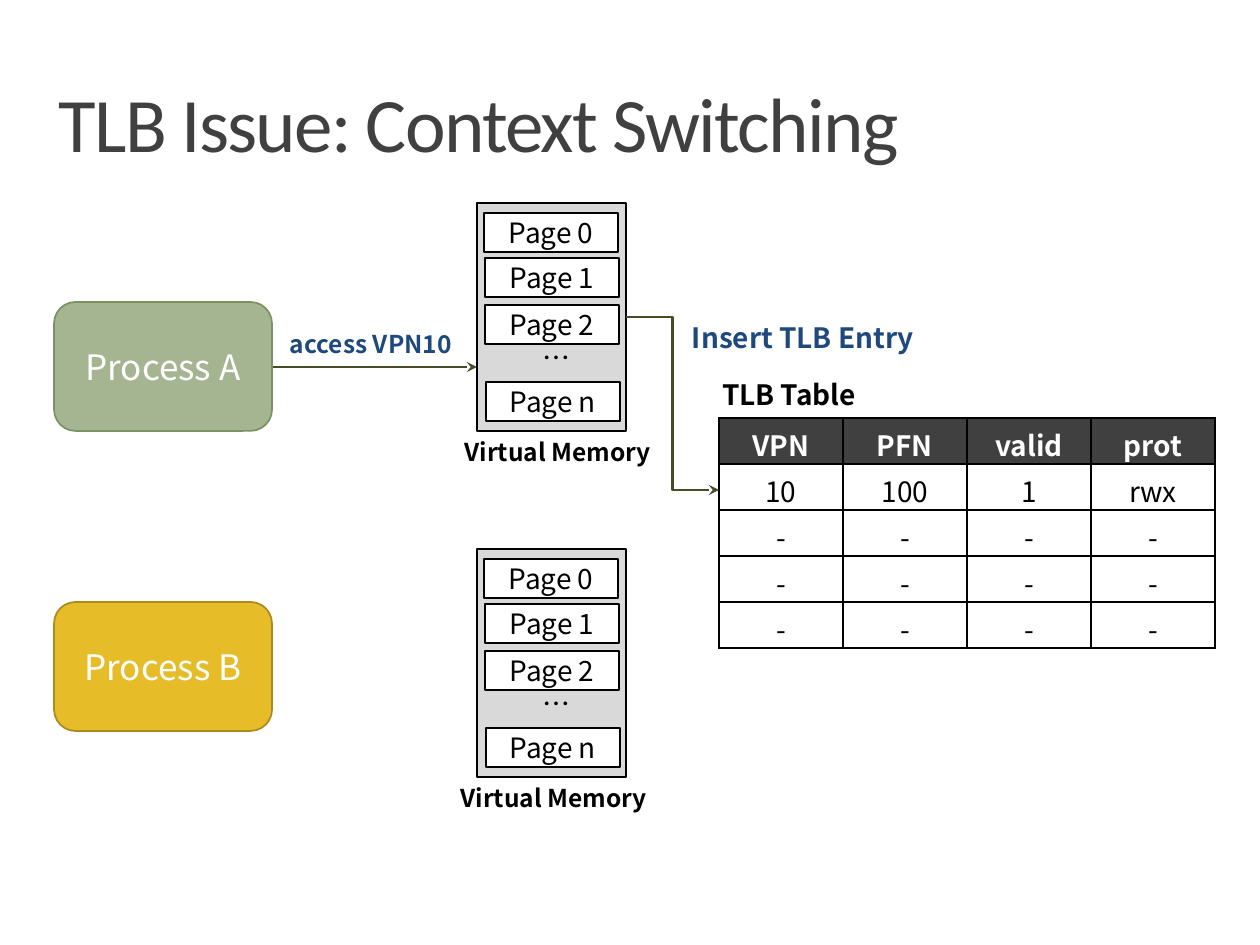
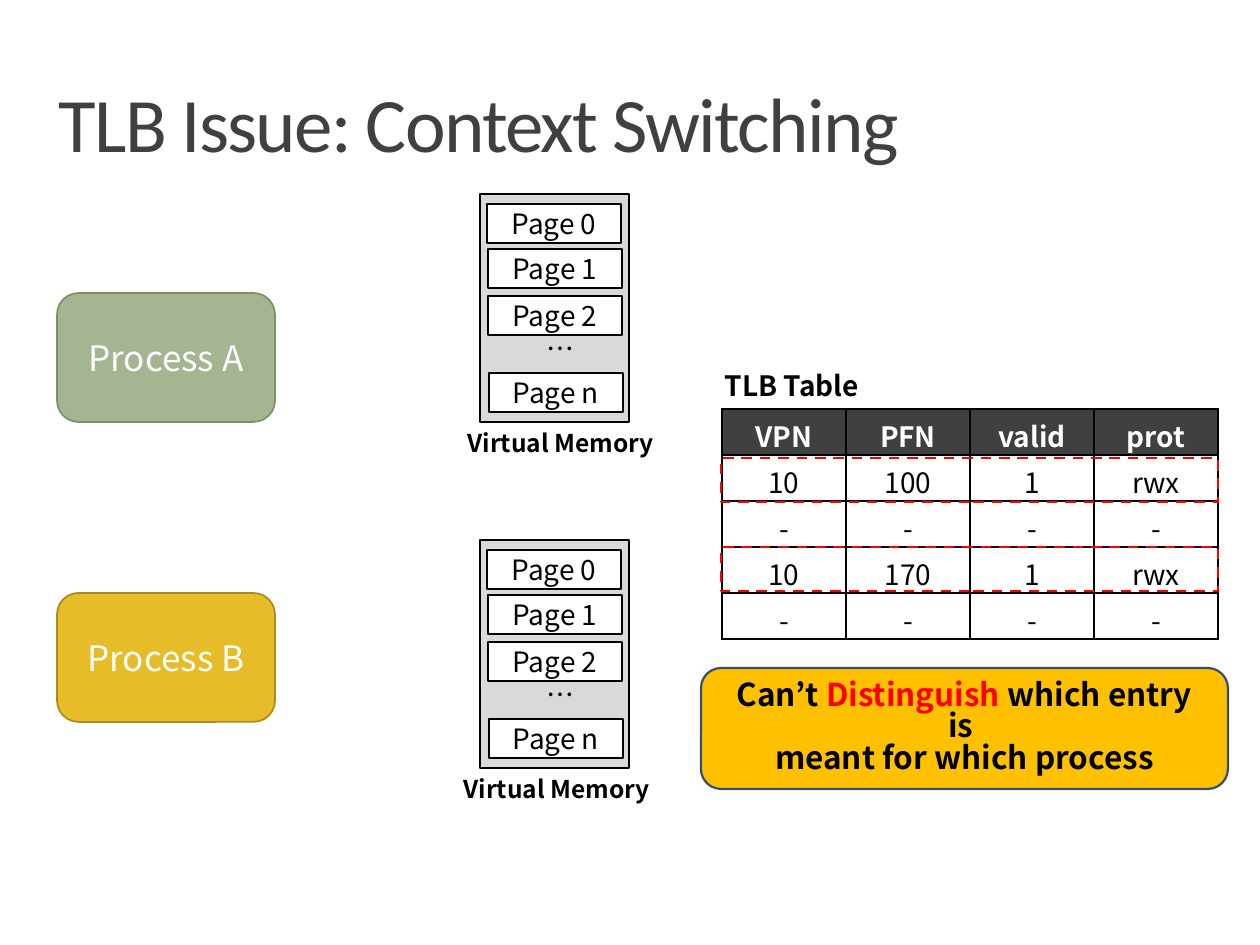
from lxml import etree
from pptx import Presentation
from pptx.dml.color import RGBColor
from pptx.enum.dml import MSO_LINE
from pptx.enum.shapes import MSO_CONNECTOR, MSO_SHAPE
from pptx.enum.text import MSO_ANCHOR, PP_ALIGN
from pptx.oxml.ns import qn
from pptx.util import Emu, Pt

RECT, ROUND = MSO_SHAPE.RECTANGLE, MSO_SHAPE.ROUNDED_RECTANGLE
STRAIGHT, ELBOW = MSO_CONNECTOR.STRAIGHT, MSO_CONNECTOR.ELBOW
LEFT, CENTER = PP_ALIGN.LEFT, PP_ALIGN.CENTER
TOP, MIDDLE = MSO_ANCHOR.TOP, MSO_ANCHOR.MIDDLE
DASH = MSO_LINE.DASH

SCALE = 914400 / 126
BODY, HEADING = "Noto Sans CJK KR", "Calibri"
BLACK, WHITE, DARK, GRAY = "000000", "FFFFFF", "404040", "D9D9D9"
GREEN, YELLOW, ORANGE = "A5B592", "E7BC29", "FFC000"
BLUE, RED, OLIVE = "1F497D", "FF0000", "444D26"
INSETS = (13, 6, 13, 6)


def px(n):
    return Emu(round(n * SCALE))


def rgb(color):
    return RGBColor.from_string(color)


class Deck:
    def __init__(self):
        self.prs = Presentation()
        self.prs.slide_width, self.prs.slide_height = px(1260), px(945)
        self.dx = self.dy = 0

    def new_slide(self, dx=0, dy=0):
        """Start a slide whose diagram is shifted by dx, dy."""
        self.s = self.prs.slides.add_slide(self.prs.slide_layouts[6])
        self.dx, self.dy = dx, dy

    def at(self, x, y):
        return px(x + self.dx), px(y + self.dy)

    def style(self, r, size, color, bold=False, font=BODY):
        r.font.size, r.font.bold, r.font.name = Pt(size), bold, font
        r.font.color.rgb = rgb(color)
        latin = r._r.get_or_add_rPr().find(qn("a:latin"))
        latin.addnext(etree.Element(qn("a:ea"), typeface=font))

    def set_text(self, sp, text, size, color=BLACK, bold=False, align=CENTER,
                 anchor=MIDDLE, insets=INSETS, font=BODY):
        tf = sp.text_frame
        tf.text = text
        tf.word_wrap, tf.vertical_anchor = True, anchor
        (tf.margin_left, tf.margin_top,
         tf.margin_right, tf.margin_bottom) = map(px, insets)
        for p in tf.paragraphs:
            p.alignment = align
            for r in p.runs:
                self.style(r, size, color, bold, font)
        return tf

    def title(self, text):
        sp = self.s.shapes.add_textbox(px(59), px(88), px(1142), px(100))
        tf = self.set_text(sp, text, 44, DARK, align=LEFT, anchor=TOP,
                           insets=(0, 5, 0, 0), font=HEADING)
        p = tf.paragraphs[0]
        p.line_spacing = 0.8
        p.runs[0]._r.get_or_add_rPr().set("spc", "-100")

    def box(self, x, y, w, h, fill=None, line=BLACK, weight=1, kind=RECT):
        sp = self.s.shapes.add_shape(kind, *self.at(x, y), px(w), px(h))
        sp.shadow.inherit = False
        if fill:
            sp.fill.solid()
            sp.fill.fore_color.rgb = rgb(fill)
        else:
            sp.fill.background()
        sp.line.color.rgb = rgb(line)
        sp.line.width = Pt(weight)
        return sp

    def label(self, x, y, w, text, size=16, color=BLACK, bold=True, align=LEFT):
        sp = self.s.shapes.add_textbox(*self.at(x, y), px(w), px(46))
        self.set_text(sp, text, size, color, bold, align, TOP)

    def arrow(self, x1, y1, x2, y2, kind=STRAIGHT):
        sp = self.s.shapes.add_connector(kind, *self.at(x1, y1), *self.at(x2, y2))
        sp.line.color.rgb = rgb(OLIVE)
        sp.line.width = Pt(1.25)
        spPr = sp._element.spPr
        etree.SubElement(spPr.find(qn("a:ln")), qn("a:tailEnd"), type="stealth")
        etree.SubElement(spPr, qn("a:effectLst"))

    def process(self, y, name, fill, line):
        sp = self.box(54, y, 218, 129, fill, line, kind=ROUND)
        self.set_text(sp, name, 20, WHITE)

    def memory(self, y, label_x):
        self.box(477, y, 149, 228, GRAY)
        pages = (("0", 484, 10), ("1", 485, 55), ("2", 485, 102), ("n", 486, 179))
        for number, x, offset in pages:
            sp = self.box(x, y + offset, 134, 39, WHITE)
            self.set_text(sp, "Page " + number, 16, insets=(0, 6, 0, 6))
        self.label(530, y + 132, 146, "…", bold=False)
        self.label(label_x, y + 228, 242, "Virtual Memory", 14, align=CENTER)

    def border(self, cell):
        tcPr = cell._tc.get_or_add_tcPr()
        for side in ("lnL", "lnR", "lnT", "lnB"):
            ln = etree.SubElement(tcPr, qn("a:" + side), w=str(Pt(1)))
            fill = etree.SubElement(ln, qn("a:solidFill"))
            etree.SubElement(fill, qn("a:srgbClr"), val=BLACK)

    def table(self, x, y, rows):
        col_w, row_h = 124, 46
        tbl = self.s.shapes.add_table(
            len(rows), len(rows[0]), *self.at(x, y),
            px(col_w * len(rows[0])), px(row_h * len(rows))).table
        for col in tbl.columns:
            col.width = px(col_w)
        for i, row in enumerate(rows):
            for j, text in enumerate(row):
                cell = tbl.cell(i, j)
                self.border(cell)
                cell.margin_top, cell.margin_bottom = px(6), 0
                cell.text = text
                p = cell.text_frame.paragraphs[0]
                p.alignment = CENTER
                head = i == 0
                self.style(p.runs[0], 16, WHITE if head else BLACK, head)
                if head:
                    cell.fill.solid()
                    cell.fill.fore_color.rgb = rgb(DARK)
                else:
                    cell.fill.background()

    def callout(self, x, y, w, h, lines):
        """Rounded note; lines hold (text, color) pieces."""
        sp = self.box(x, y, w, h, ORANGE, "344E6D", 1.25, ROUND)
        tf = self.set_text(sp, "", 18, insets=(15, 6, 15, 6))
        for i, pieces in enumerate(lines):
            p = tf.add_paragraph() if i else tf.paragraphs[0]
            p.alignment, p.line_spacing = CENTER, 0.84
            for text, color in pieces:
                r = p.add_run()
                r.text = text
                self.style(r, 18, color, True)

    def diagram(self, rows):
        """Parts that both slides share."""
        self.title("TLB Issue: Context Switching")
        self.process(302, "Process A", GREEN, "7D9263")
        self.process(602, "Process B", YELLOW, "AB8B1E")
        self.label(709, 372, 194, "TLB Table")
        self.memory(203, 437)
        self.memory(549, 433)
        self.table(719, 418, [("VPN", "PFN", "valid", "prot")] + rows)


deck = Deck()
ENTRY_A, ENTRY_B = ("10", "100", "1", "rwx"), ("10", "170", "1", "rwx")
EMPTY = ("-",) * 4

# Slide 1: process A fills an entry
deck.new_slide()
deck.diagram([ENTRY_A, EMPTY, EMPTY, EMPTY])
deck.arrow(273, 367, 477, 367)
deck.label(233, 323, 276, "access VPN10", 14, BLUE, align=CENTER)
deck.arrow(626, 317, 719, 490, ELBOW)
deck.label(679, 315, 276, "Insert TLB Entry", color=BLUE)

# Slide 2: two entries share one VPN
deck.new_slide(3, -9)
deck.diagram([ENTRY_A, EMPTY, ENTRY_B, EMPTY])
for y in (467, 556):
    deck.box(718, y, 497, 44, line=RED, weight=1.5).line.dash_style = DASH
deck.callout(698, 677, 527, 121, [
    [("Can’t ", BLACK), ("Distinguish ", RED), ("which entry is ", BLACK)],
    [("meant for which process", BLACK)],
])

deck.prs.save("out.pptx")
